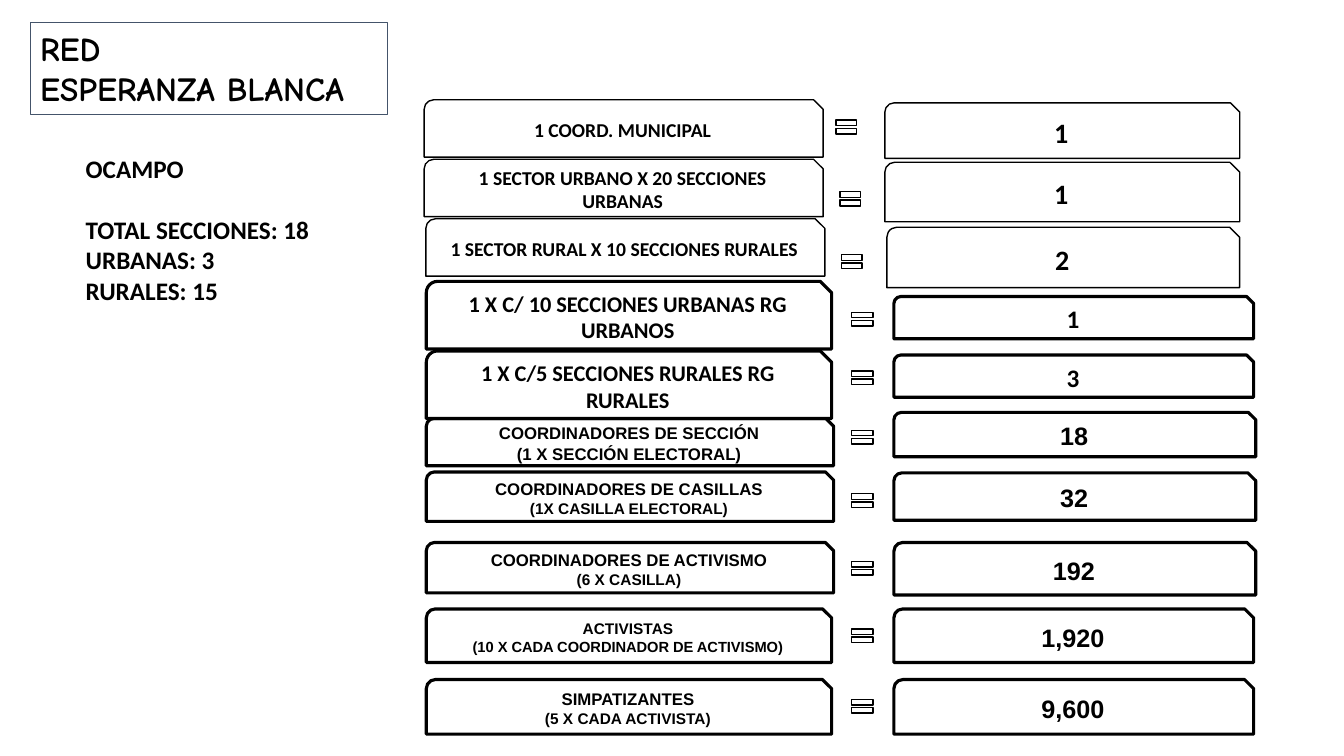
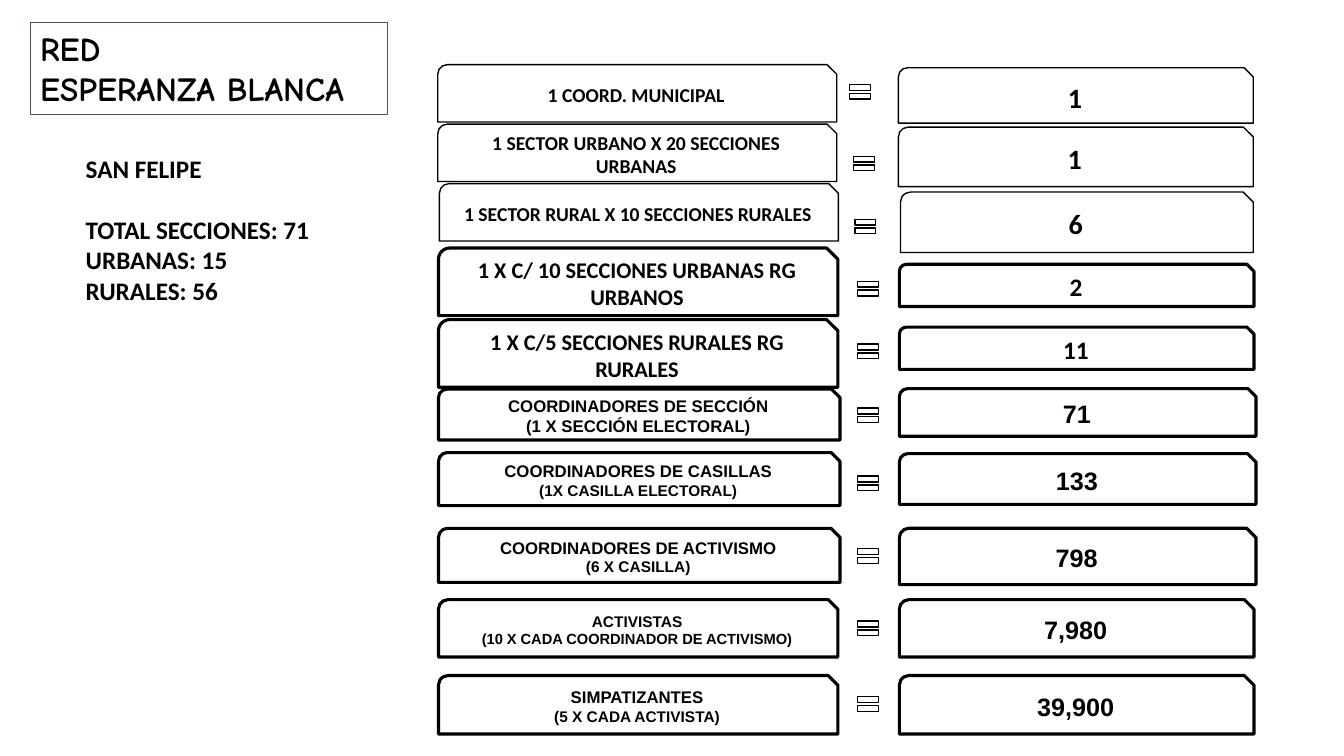
from dataclasses import dataclass
from typing import NamedTuple

from lxml.etree import SubElement
from pptx import Presentation
from pptx.dml.color import RGBColor
from pptx.enum.shapes import MSO_SHAPE as Preset
from pptx.enum.text import MSO_ANCHOR as Anchor, MSO_AUTO_SIZE as AutoSize, PP_ALIGN as Align
from pptx.oxml.ns import qn
from pptx.util import Pt


@dataclass(frozen=True)
class Theme:
    ink: RGBColor = RGBColor(0, 0, 0)
    paper: RGBColor = RGBColor(255, 255, 255)
    title_edge: RGBColor = RGBColor(0x44, 0x54, 0x6A)
    title_font: str = "Comic Neue"
    sector_font: str = "Calibri"
    staff_font: str = "Arial"
    title_size: float = 24
    facts_size: float = 18
    sector_size: float = 14
    sector_value_size: float = 20
    staff_value_size: float = 18
    thin: float = 1
    thick: float = 2.25
    title_line: float = 0.75


THEME = Theme()


class Box(NamedTuple):
    left: float
    top: float
    width: float
    height: float

    def inside(self, left, top, width, height, across=1, down=1):
        """Return a box offset from this one, scaled horizontally and vertically."""
        return Box(self.left + left * across, self.top + top * down, width * across, height * down)

    def emu(self):
        return [Pt(length) for length in self]


class SectorRow(NamedTuple):
    label: str
    label_at: tuple
    equal_at: tuple
    value_box: tuple


class StaffRow(NamedTuple):
    lines: tuple
    sizes: tuple
    font: str
    anchor: Anchor
    wide: bool
    label_top: float
    label_height: float
    equal_top: float
    value_top: float
    value_height: float


class Municipality(NamedTuple):
    name: str
    sections: tuple
    sector_origin: tuple
    sector_values: tuple
    staff_box: Box
    stacked_tops: tuple
    staff_values: tuple


TITLE_BOX = Box(21.5, 16, 255, 65.5)
FACTS_BOX = Box(54, 106, 176, 117)
FACTS_GAP = 22

SECTOR_SIZE = (582, 134)
SECTOR_LABEL_SIZE = (285, 41)
SECTOR_EQUAL_SIZE = (20, 17.3)
SECTOR_ROWS = [
    SectorRow("1 COORD. MUNICIPAL", (0, 0), (291.6, 10.8), (329, 2.2, 253.5, 39.6)),
    SectorRow("1 SECTOR URBANO X 20 SECCIONES URBANAS", (0, 42.5), (294.5, 62), (329, 44.6, 253.5, 42.5)),
    SectorRow("1 SECTOR RURAL X 10 SECCIONES RURALES", (1.2, 85), (295.5, 107), (330.5, 91, 252, 43.2)),
]

# Staff rows are measured in a reference box, then scaled to the box of each slide.
STAFF_REFERENCE = (592.5, 323.3)
STAFF_EQUAL_LEFT, STAFF_VALUE_LEFT = 301, 334
STAFF_EQUAL_SIZE = (20.8, 16.6)
STAFF_WIDTHS = {False: (289.5, 257), True: (291, 258.5)}
STAFF_ROWS = [
    StaffRow(("1 X C/ 10 SECCIONES URBANAS RG URBANOS",), (16,), THEME.sector_font, Anchor.TOP, False,
             0, 48.3, 18.7, 10.8, 30.2),
    StaffRow(("1 X C/5 SECCIONES RURALES RG RURALES",), (16,), THEME.sector_font, Anchor.TOP, False,
             49.7, 48.3, 60.5, 52.6, 30.2),
    StaffRow(("COORDINADORES DE SECCIÓN", "(1 X SECCIÓN ELECTORAL)"), (12, 12), THEME.staff_font,
             Anchor.MIDDLE, True, 97.9, 33.8, 103, 93.6, 31.7),
    StaffRow(("COORDINADORES DE CASILLAS", "(1X CASILLA ELECTORAL)"), (12, 11), THEME.staff_font,
             Anchor.MIDDLE, True, 136.1, 35.3, 148.3, 136.8, 33.8),
    StaffRow(("COORDINADORES DE ACTIVISMO", "(6 X CASILLA)"), (12, 11), THEME.staff_font,
             Anchor.MIDDLE, True, 186.5, 36, 196.6, 186.5, 37.5),
    StaffRow(("ACTIVISTAS", "(10 X CADA COORDINADOR DE ACTIVISMO)"), (11, 10.5), THEME.staff_font,
             Anchor.MIDDLE, False, 234, 38.2, 244.8, 234, 38.2),
    StaffRow(("SIMPATIZANTES", "(5 X CADA ACTIVISTA)"), (12, 11), THEME.staff_font,
             Anchor.MIDDLE, False, 284.4, 39, 295.2, 284.4, 39),
]

MUNICIPALITIES = [
    Municipality("OCAMPO", (18, 3, 15), (303, 71.3), ("1", "1", "2"),
                 Box(304.5, 201, 592.5, 323.3), (0, 49.7, 97.9),
                 ("1", "3", "18", "32", "192", "1,920", "9,600")),
    Municipality("SAN FELIPE", (71, 15, 56), (312.7, 46.2), ("1", "1", "6"),
                 Box(313.2, 177.2, 584, 347), (0, 51.1, 100.8),
                 ("2", "11", "71", "133", "798", "7,980", "39,900")),
]


def write(frame, lines, sizes, font, align):
    frame.text = "\n".join(lines)
    for para, size in zip(frame.paragraphs, sizes):
        para.alignment = align
        para.space_before = Pt(0)
        for span in para.runs:
            span.font.name = font
            span.font.size = Pt(size)
            span.font.bold = True
            span.font.color.rgb = THEME.ink


def add_preset(page, preset, box, line_width):
    shape = page.shapes.add_shape(preset, *box.emu())
    shape.shadow.inherit = False
    shape.fill.solid()
    shape.fill.fore_color.rgb = THEME.paper
    shape.line.color.rgb = THEME.ink
    shape.line.width = Pt(line_width)
    return shape


def add_card(page, box, line_width, lines, sizes, font, anchor=Anchor.MIDDLE):
    card = add_preset(page, Preset.SNIP_ROUND_RECTANGLE, box, line_width)
    card.text_frame.word_wrap = True
    card.text_frame.vertical_anchor = anchor
    write(card.text_frame, lines, sizes, font, Align.CENTER)


def add_equal(page, box):
    add_preset(page, Preset.MATH_EQUAL, box, THEME.thin)


def place(holder, box):
    holder.left, holder.top, holder.width, holder.height = box.emu()
    holder.text_frame.auto_size = AutoSize.NONE
    holder.text_frame.vertical_anchor = Anchor.TOP


def fill_title(page, box):
    title = page.shapes.title
    place(title, box)
    title.line.color.rgb = THEME.title_edge
    title.line.width = Pt(THEME.title_line)
    write(title.text_frame, ("RED", "ESPERANZA BLANCA"), [THEME.title_size] * 2, THEME.title_font, Align.LEFT)


def fill_facts(page, box, name, sections):
    body = page.placeholders[1]
    place(body, box)
    total, urban, rural = sections
    lines = (name, f"TOTAL SECCIONES: {total}", f"URBANAS: {urban}", f"RURALES: {rural}")
    frame = body.text_frame
    frame.word_wrap = False
    write(frame, lines, [THEME.facts_size] * len(lines), THEME.sector_font, Align.LEFT)
    frame.paragraphs[0].space_after = Pt(FACTS_GAP)
    for para in frame.paragraphs:
        properties = para._p.get_or_add_pPr()
        properties.set("marL", "0")
        properties.set("indent", "0")
        SubElement(properties, qn("a:buNone"))


def add_sectors(page, box, values):
    for row, value in zip(SECTOR_ROWS, values):
        add_card(page, box.inside(*row.label_at, *SECTOR_LABEL_SIZE), THEME.thin,
                 [row.label], [THEME.sector_size], THEME.sector_font)
        add_equal(page, box.inside(*row.equal_at, *SECTOR_EQUAL_SIZE))
        add_card(page, box.inside(*row.value_box), THEME.thin,
                 [value], [THEME.sector_value_size], THEME.sector_font)


def add_staff(page, box, stacked_tops, values):
    """Draw the rows upwards, so that each label lies over the one below it."""
    across = box.width / STAFF_REFERENCE[0]
    down = box.height / STAFF_REFERENCE[1]
    label_tops = [*stacked_tops, *(row.label_top * down for row in STAFF_ROWS[len(stacked_tops):])]
    for row, label_top, value in reversed(list(zip(STAFF_ROWS, label_tops, values))):
        label_width, value_width = STAFF_WIDTHS[row.wide]
        stretch = 1 if row.anchor == Anchor.TOP else down
        add_card(page, box.inside(0, label_top, label_width, row.label_height * stretch, across),
                 THEME.thick, row.lines, row.sizes, row.font, row.anchor)
        add_equal(page, box.inside(STAFF_EQUAL_LEFT, row.equal_top, *STAFF_EQUAL_SIZE, across, down))
        add_card(page, box.inside(STAFF_VALUE_LEFT, row.value_top * down, value_width,
                                  row.value_height * stretch, across),
                 THEME.thick, [value], [THEME.staff_value_size], row.font, row.anchor)


def add_network_page(deck, town):
    page = deck.slides.add_slide(deck.slide_layouts[1])
    fill_title(page, TITLE_BOX)
    fill_facts(page, FACTS_BOX, town.name, town.sections)
    add_staff(page, town.staff_box, town.stacked_tops, town.staff_values)
    add_sectors(page, Box(*town.sector_origin, *SECTOR_SIZE), town.sector_values)


def main():
    deck = Presentation()
    deck.slide_width, deck.slide_height = Pt(960), Pt(540)
    for town in MUNICIPALITIES:
        add_network_page(deck, town)
    deck.save("out.pptx")


if __name__ == "__main__":
    main()
